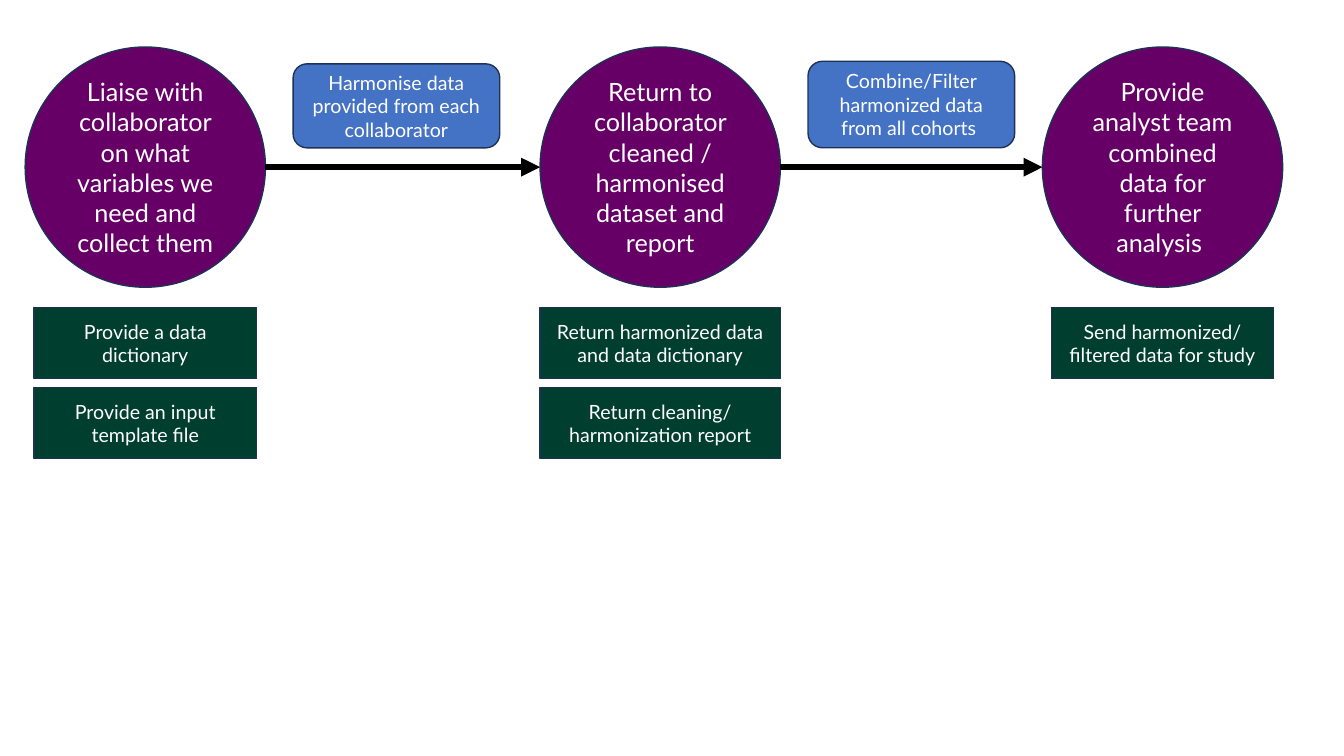
from dataclasses import dataclass

from lxml.etree import SubElement
from pptx import Presentation
from pptx.dml.color import RGBColor
from pptx.enum.shapes import MSO_CONNECTOR, MSO_SHAPE
from pptx.enum.text import MSO_ANCHOR, PP_ALIGN
from pptx.oxml.ns import qn
from pptx.util import Inches, Pt


@dataclass(frozen=True)
class Theme:
    font: str = "Lato"
    stage: str = "660066"
    task: str = "003E2F"
    process: str = "4472C4"
    outline: str = "1E3256"
    arrow: str = "000000"
    text: str = "FFFFFF"
    stage_size: int = 18
    label_size: int = 14
    outline_width: float = 1
    arrow_width: float = 4.5


class FlowSlide:
    COLUMNS, ROWS = 160, 90

    def __init__(self, presentation, theme):
        self.theme = theme
        self.slide = presentation.slides.add_slide(presentation.slide_layouts[6])
        self.column = presentation.slide_width / self.COLUMNS
        self.row = presentation.slide_height / self.ROWS

    def x(self, columns):
        return round(columns * self.column)

    def y(self, rows):
        return round(rows * self.row)

    def block(self, kind, left, top, width, height, fill, size, text):
        shape = self.slide.shapes.add_shape(
            kind, self.x(left), self.y(top), self.x(width), self.y(height)
        )
        shape.shadow.inherit = False
        shape.fill.solid()
        shape.fill.fore_color.rgb = RGBColor.from_string(fill)
        shape.line.color.rgb = RGBColor.from_string(self.theme.outline)
        shape.line.width = Pt(self.theme.outline_width)
        frame = shape.text_frame
        frame.word_wrap = True
        frame.vertical_anchor = MSO_ANCHOR.MIDDLE
        paragraph = frame.paragraphs[0]
        paragraph.alignment = PP_ALIGN.CENTER
        run = paragraph.add_run()
        run.text = text
        run.font.name = self.theme.font
        run.font.size = Pt(size)
        run.font.color.rgb = RGBColor.from_string(self.theme.text)

    def stage(self, left, top, diameter, text):
        self.block(MSO_SHAPE.OVAL, left, top, diameter, diameter,
                   self.theme.stage, self.theme.stage_size, text)

    def task(self, left, top, width, height, text):
        self.block(MSO_SHAPE.RECTANGLE, left, top, width, height,
                   self.theme.task, self.theme.label_size, text)

    def process(self, left, top, width, height, text):
        self.block(MSO_SHAPE.ROUNDED_RECTANGLE, left, top, width, height,
                   self.theme.process, self.theme.label_size, text)

    def arrow(self, start, end, level):
        connector = self.slide.shapes.add_connector(
            MSO_CONNECTOR.STRAIGHT,
            self.x(start), self.y(level), self.x(end), self.y(level),
        )
        connector.line.color.rgb = RGBColor.from_string(self.theme.arrow)
        connector.line.width = Pt(self.theme.arrow_width)
        SubElement(connector.line._get_or_add_ln(), qn("a:tailEnd"), type="triangle")
        SubElement(connector._element.spPr, qn("a:effectLst"))


STAGE_TOP, DIAMETER = 5.6, 28.6
TASK_TOP, TASK_HEIGHT, TASK_STEP = 36.6, 8.5, 9.5
PROCESS_GAP, PROCESS_WIDTH, PROCESS_BOTTOM = 3.3, 24.6, 17.6

STAGES = [
    (3, "Liaise with collaborator on what variables we need and collect them",
     26.5, ["Provide a data dictionary", "Provide an input template file"]),
    (64.3, "Return to collaborator cleaned / harmonised dataset and report",
     28.6, ["Return harmonized data and data dictionary",
            "Return cleaning/ harmonization report"]),
    (124.1, "Provide analyst team combined data for further analysis ",
     26.5, ["Send harmonized/ filtered data for study"]),
]
PROCESSES = [
    (10, "Harmonise data provided from each collaborator"),
    (10.3, "Combine/Filter harmonized data from all cohorts "),
]


def main():
    presentation = Presentation()
    presentation.slide_width = Inches(13.33)
    presentation.slide_height = Inches(7.5)
    flow = FlowSlide(presentation, Theme())

    for left, text, task_width, tasks in STAGES:
        flow.stage(left, STAGE_TOP, DIAMETER, text)
        task_left = left + (DIAMETER - task_width) / 2
        for index, task in enumerate(tasks):
            flow.task(task_left, TASK_TOP + index * TASK_STEP,
                      task_width, TASK_HEIGHT, task)

    for current, following, (height, text) in zip(STAGES, STAGES[1:], PROCESSES):
        start = current[0] + DIAMETER
        flow.arrow(start, following[0], STAGE_TOP + DIAMETER / 2)
        flow.process(start + PROCESS_GAP, PROCESS_BOTTOM - height,
                     PROCESS_WIDTH, height, text)

    presentation.save("out.pptx")


if __name__ == "__main__":
    main()
